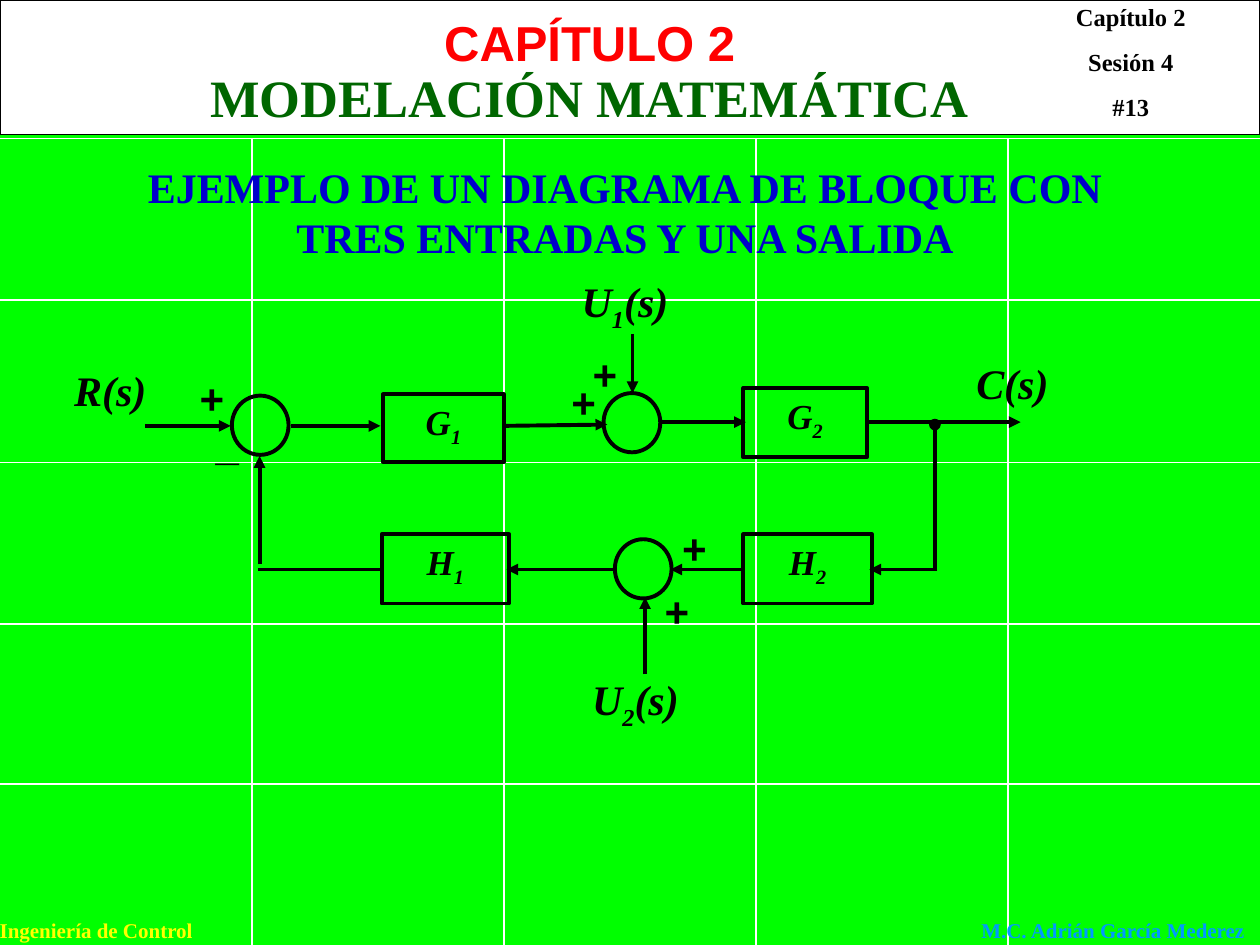
from itertools import groupby

from lxml import etree
from pptx import Presentation
from pptx.dml.color import RGBColor
from pptx.enum import shapes, text
from pptx.oxml import ns
from pptx.util import Inches, Pt

COLORS = {
    "background": "00FF00", "grid": "FFFFFF", "header": "FFFFFF", "ink": "000000",
    "chapter": "FF0000", "title": "006600", "heading": "0000CC",
    "course": "FFFF00", "author": "0099FF",
}
SERIF, SANS = "Times New Roman", "Arial"

# Content: places are left, top, width, height in inches
GRID_COLUMNS = [2, 4, 6, 8]
GRID_ROWS = [2.38, 3.67, 4.95, 6.22, 1.1]
HEADER = (0, 0, 10, 1.07)

CAPTIONS = [
    (["Ingeniería de Control"], (-0.12, 7.23, 1.77, 0.3), dict(size=12, color="course")),
    (["M.C. Adrián García Mederez"], (7.69, 7.23, 2.3, 0.3),
     dict(size=12, color="author", centered=False, wrap=False)),
    (["Capítulo 2", "Sesión 4", "#13"], (8.15, -0.03, 1.65, 1.05),
     dict(size=14, space_before=8.8)),
    (["EJEMPLO DE UN DIAGRAMA DE BLOQUE CON", "TRES ENTRADAS Y UNA SALIDA"],
     (0.59, 1.23, 8.74, 0.9), dict(size=24, color="heading")),
    (["CAPÍTULO 2"], (0.9, 0.05, 7.56, 0.57),
     dict(size=28, color="chapter", font_name=SANS)),
    (["MODELACIÓN MATEMÁTICA"], (0.9, 0.47, 7.56, 0.6), dict(size=30, color="title")),
]

BLOCKS = [
    ("G1", (3.04, 3.13, 0.96, 0.54)),
    ("G2", (5.9, 3.08, 0.98, 0.55)),
    ("H1", (3.03, 4.24, 1.01, 0.55)),
    ("H2", (5.9, 4.24, 1.02, 0.55)),
]
SUMMING_POINTS = [(1.84, 3.14), (4.79, 3.12), (4.88, 4.28)]
SUMMING_SIZE = (0.45, 0.47)

SIGNAL_LINES = [  # from, to, end mark
    ((1.15, 3.38), (1.83, 3.38), "triangle"),
    ((2.31, 3.38), (3.02, 3.38), "triangle"),
    ((3.99, 3.38), (4.82, 3.37), "triangle"),
    ((5.24, 3.35), (5.92, 3.35), "triangle"),
    ((6.9, 3.35), (8.1, 3.35), "triangle"),
    ((7.44, 4.52), (6.9, 4.52), "triangle"),
    ((5.9, 4.52), (5.32, 4.52), "triangle"),
    ((4.89, 4.52), (4.02, 4.52), "triangle"),
    ((3.03, 4.52), (2.05, 4.52), None),
    ((2.06, 4.48), (2.06, 3.62), "triangle"),
    ((7.42, 4.52), (7.42, 3.37), "oval"),
    ((5.02, 2.65), (5.02, 3.12), "triangle"),
    ((5.12, 5.35), (5.12, 4.74), "triangle"),
]

SIGNALS = [  # text, place, centered
    ("R(s)", (0.49, 2.84, 1.21, 0.6), False),
    ("C(s)", (7.65, 2.79, 1.07, 0.58), False),
    ("U1(s)", (4.32, 2.14, 1.28, 0.56), True),
    ("U2(s)", (4.6, 5.3, 1.42, 0.56), False),
]
SIGNS = [
    ("_", (1.63, 3.27)), ("+", (1.48, 2.91)), ("+", (4.43, 2.94)),
    ("+", (5.31, 4.1)), ("+", (5.17, 4.6)), ("+", (4.6, 2.72)),
]
SIGN_SIZE = (0.46, 0.5)


def rgb(name):
    return RGBColor.from_string(COLORS[name])


def inches(place):
    return [Inches(value) for value in place]


def write_text(shape, lines, size=24, color="ink", font_name=SERIF, italic=False,
               centered=True, wrap=True, space_before=0, subscripts=False):
    frame = shape.text_frame
    frame.word_wrap = wrap
    frame.vertical_anchor = text.MSO_ANCHOR.TOP
    for index, line in enumerate(lines):
        paragraph = frame.add_paragraph() if index else frame.paragraphs[0]
        paragraph.alignment = text.PP_ALIGN.CENTER if centered else text.PP_ALIGN.LEFT
        if index:
            paragraph.space_before = Pt(space_before)
        # Digits of a symbol become subscripts
        for is_digit, letters in groupby(line, lambda letter: subscripts and letter.isdigit()):
            run = paragraph.add_run()
            run.text = "".join(letters)
            run.font.size, run.font.name = Pt(size), font_name
            run.font.bold, run.font.italic = True, italic
            run.font.color.rgb = rgb(color)
            if is_digit:
                run.font._element.set("baseline", "-25000")


def add_text(slide, lines, place, **style):
    write_text(slide.shapes.add_textbox(*inches(place)), lines, **style)


def add_outline(slide, kind, place, width=2.25, fill=None):
    shape = slide.shapes.add_shape(kind, *inches(place))
    shape.shadow.inherit = False
    if fill:
        shape.fill.solid()
        shape.fill.fore_color.rgb = rgb(fill)
    else:
        shape.fill.background()
    shape.line.color.rgb = rgb("ink")
    shape.line.width = Pt(width)
    return shape


def add_line(slide, start, end, color="ink", width=2.25, mark=None):
    line = slide.shapes.add_connector(shapes.MSO_CONNECTOR.STRAIGHT, *inches(start + end))
    line.line.color.rgb = rgb(color)
    line.line.width = Pt(width)
    if mark:
        etree.SubElement(line.line._get_or_add_ln(), ns.qn("a:tailEnd"), type=mark)
    etree.SubElement(line._element.spPr, ns.qn("a:effectLst"))


def main():
    presentation = Presentation()
    presentation.slide_width, presentation.slide_height = Inches(10), Inches(7.5)
    slide = presentation.slides.add_slide(presentation.slide_layouts[6])
    slide.background.fill.solid()
    slide.background.fill.fore_color.rgb = rgb("background")

    # Background grid and header band
    for x in GRID_COLUMNS:
        add_line(slide, (x, 1.1), (x, 7.5), color="grid", width=1)
    for y in GRID_ROWS:
        add_line(slide, (0, y), (10, y), color="grid", width=1)
    add_outline(slide, shapes.MSO_SHAPE.RECTANGLE, HEADER, width=0.75, fill="header")

    # Titles and footer
    for lines, place, style in CAPTIONS:
        add_text(slide, lines, place, **style)

    # Block diagram
    for symbol, place in BLOCKS:
        block = add_outline(slide, shapes.MSO_SHAPE.RECTANGLE, place)
        write_text(block, [symbol], size=20, italic=True, subscripts=True)
    for corner in SUMMING_POINTS:
        add_outline(slide, shapes.MSO_SHAPE.OVAL, corner + SUMMING_SIZE)
    for start, end, mark in SIGNAL_LINES:
        add_line(slide, start, end, mark=mark)

    # Signal names and signs
    for symbol, place, centered in SIGNALS:
        add_text(slide, [symbol], place, italic=True, centered=centered, subscripts=True)
    for sign, corner in SIGNS:
        add_text(slide, [sign], corner + SIGN_SIZE, font_name=SANS, italic=True,
                 centered=False)

    presentation.save("out.pptx")


if __name__ == "__main__":
    main()
